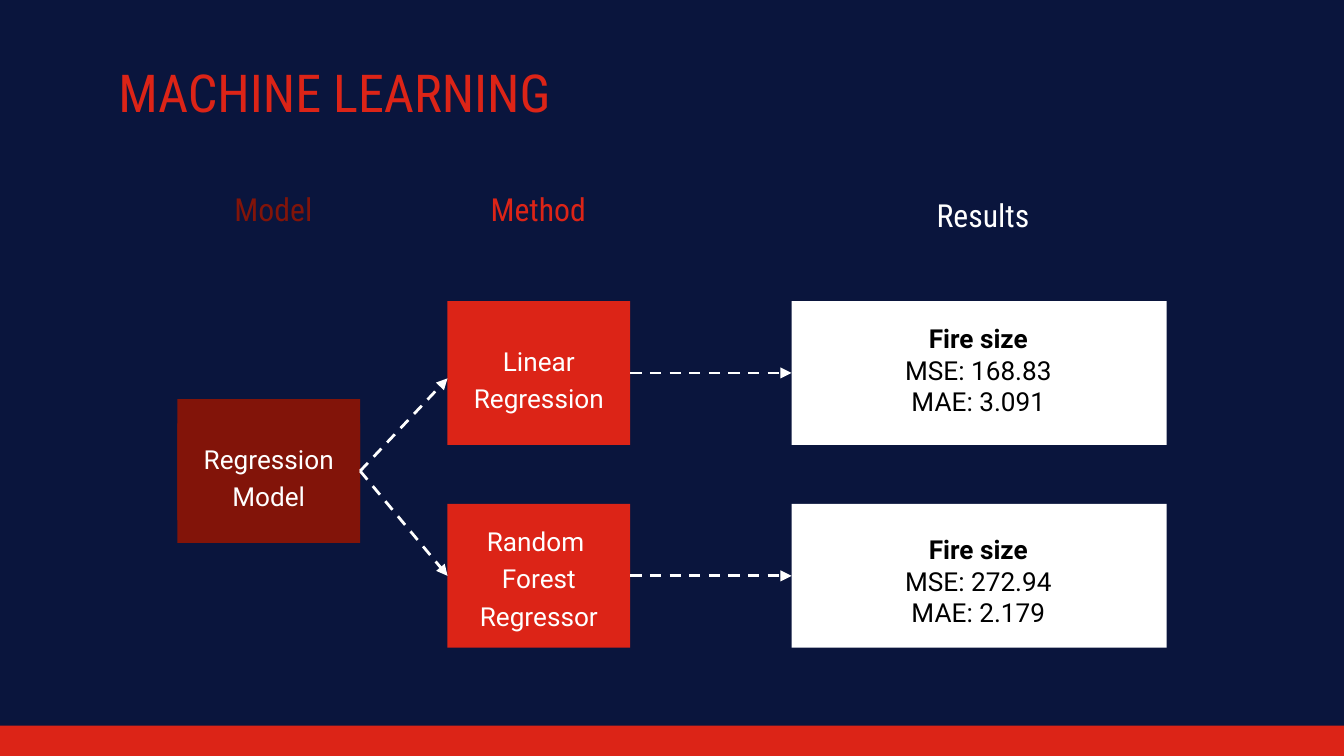
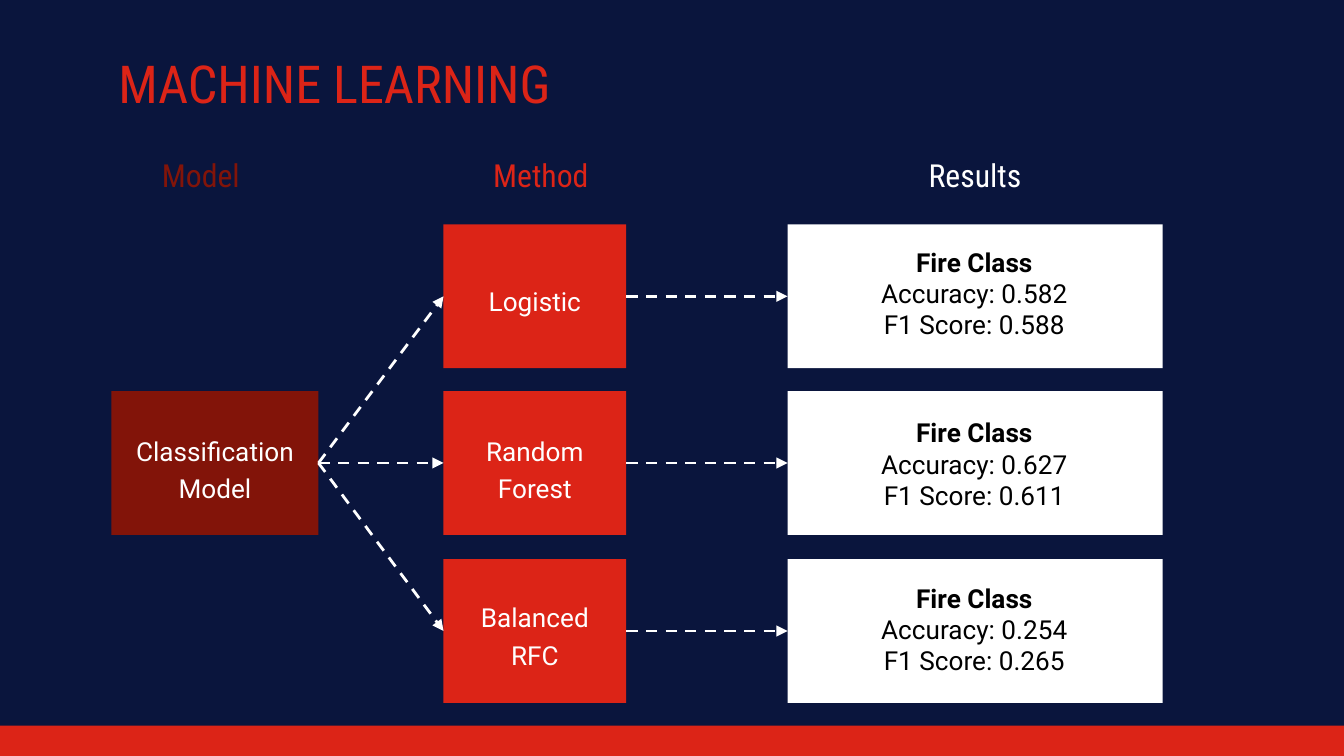
import dataclasses

import lxml.etree
import pptx
import pptx.dml.color
import pptx.enum.dml
import pptx.enum.shapes
import pptx.enum.text
import pptx.oxml.ns
import pptx.util

NAVY = pptx.dml.color.RGBColor(0x0A, 0x15, 0x3D)
RED = pptx.dml.color.RGBColor(0xDC, 0x24, 0x17)
MAROON = pptx.dml.color.RGBColor(0x82, 0x14, 0x09)
WHITE = pptx.dml.color.RGBColor(0xFF, 0xFF, 0xFF)
BLACK = pptx.dml.color.RGBColor(0, 0, 0)
BODY_FONT = "Roboto"
HEADING_FONT = "Roboto Condensed"

SLIDE_WIDTH = 10
SLIDE_HEIGHT = SLIDE_WIDTH * 9 / 16
BAND_TOP = 5.4
BOX_HEIGHT = 1.07
METHOD_WIDTH = 1.36
METHOD_INSET = 0.05
RESULT_OFFSET = 2.56
RESULT_WIDTH = 2.79
RESULT_INSET = 0.24
HEADING_COLORS = {"Model": MAROON, "Method": RED, "Results": WHITE}


@dataclasses.dataclass
class Branch:
    """One method with its results; text tops are measured from the box top."""
    top: float
    method: str
    method_text_top: float
    method_text_height: float
    results: str
    result_text_top: float
    arrow_shift: float = 0


def inches(*values):
    """Convert numbers to lengths."""
    return [pptx.util.Inches(value) for value in values]


def format_text(shape, text, size, color, font=BODY_FONT, spacing=1.0,
                align=pptx.enum.text.PP_ALIGN.CENTER):
    """Fill a shape with top-anchored text in one style."""
    frame = shape.text_frame
    frame.text = text
    frame.word_wrap = True
    frame.vertical_anchor = pptx.enum.text.MSO_ANCHOR.TOP
    frame.margin_left = frame.margin_right = pptx.util.Inches(0.1)
    frame.margin_top = frame.margin_bottom = pptx.util.Inches(0.1)
    for paragraph in frame.paragraphs:
        paragraph.alignment = align
        paragraph.line_spacing = spacing
        for run in paragraph.runs:
            run.font.size = pptx.util.Pt(size)
            run.font.name = font
            run.font.color.rgb = color
            run.font.bold = False


def add_box(slide, left, top, width, height, color):
    """Add a plain filled rectangle."""
    shape = slide.shapes.add_shape(
        pptx.enum.shapes.MSO_SHAPE.RECTANGLE, *inches(left, top, width, height))
    shape.shadow.inherit = False
    shape.fill.solid()
    shape.fill.fore_color.rgb = color
    shape.line.fill.background()
    return shape


def add_label(slide, left, top, width, height, text, size, color, **style):
    """Add a text box that grows with its text."""
    label = slide.shapes.add_textbox(*inches(left, top, width, height))
    format_text(label, text, size, color, **style)
    label.text_frame.auto_size = pptx.enum.text.MSO_AUTO_SIZE.SHAPE_TO_FIT_TEXT
    return label


def add_arrow(slide, start, end):
    """Add a dashed white arrow between two points."""
    arrow = slide.shapes.add_connector(
        pptx.enum.shapes.MSO_CONNECTOR.STRAIGHT, *inches(*start, *end))
    arrow.line.color.rgb = WHITE
    arrow.line.width = pptx.util.Pt(1.5)
    arrow.line.dash_style = pptx.enum.dml.MSO_LINE.DASH
    qualified = pptx.oxml.ns.qn
    properties = arrow.element.spPr
    lxml.etree.SubElement(properties.find(qualified("a:ln")),
                          qualified("a:tailEnd"), type="triangle")
    lxml.etree.SubElement(properties, qualified("a:effectLst"))


def add_model(slide, left, top, width, text, text_width):
    """Add the model box and return the point where its arrows start."""
    add_box(slide, left, top, width, BOX_HEIGHT, MAROON)
    text_box = add_box(slide, left + (width - text_width) / 2, top + 0.18,
                       text_width, 0.72, MAROON)
    format_text(text_box, text, 14, WHITE, spacing=1.2)
    return left + width, top + BOX_HEIGHT / 2


def add_branch(slide, left, start, branch):
    """Add a method box, its results box and the arrows leading to them."""
    top = branch.top
    middle = top + BOX_HEIGHT / 2
    result_left = left + RESULT_OFFSET
    add_box(slide, left, top, METHOD_WIDTH, BOX_HEIGHT, RED)
    add_label(slide, left + METHOD_INSET, top + branch.method_text_top,
              METHOD_WIDTH - 2 * METHOD_INSET, branch.method_text_height,
              branch.method, 14, WHITE, spacing=1.2)
    add_box(slide, result_left, top, RESULT_WIDTH, BOX_HEIGHT, WHITE)
    results = add_label(slide, result_left + RESULT_INSET,
                        top + branch.result_text_top, 2.3, 1.62,
                        branch.results, 14, BLACK)
    results.text_frame.paragraphs[0].runs[0].font.bold = True
    add_arrow(slide, start, (left, middle + branch.arrow_shift))
    add_arrow(slide, (left + METHOD_WIDTH, middle), (result_left, middle))


def add_headings(slide, positions):
    """Add the column headings at their left and top positions."""
    for (text, color), (left, top) in zip(HEADING_COLORS.items(), positions):
        add_label(slide, left, top, 1.93, 0.49, text, 17, color,
                  font=HEADING_FONT)


def add_flow_slide(presentation, title_top, headings, model, method_left, branches):
    """Add a slide that leads from a model through methods to results."""
    slide = presentation.slides.add_slide(presentation.slide_layouts[5])
    add_box(slide, 0, BAND_TOP, SLIDE_WIDTH, SLIDE_HEIGHT - BAND_TOP, RED)
    title = slide.shapes.title
    title.left, title.top, title.width, title.height = inches(
        0.78, title_top, 8.44, 0.51)
    format_text(title, "MACHINE LEARNING", 28, RED, font=HEADING_FONT,
                align=pptx.enum.text.PP_ALIGN.LEFT)
    title.text_frame.auto_size = pptx.enum.text.MSO_AUTO_SIZE.NONE
    start = add_model(slide, *model)
    for branch in branches:
        add_branch(slide, method_left, start, branch)
    add_headings(slide, headings)


def main():
    """Build the regression and classification slides."""
    presentation = pptx.Presentation()
    presentation.slide_width, presentation.slide_height = inches(
        SLIDE_WIDTH, SLIDE_HEIGHT)
    background = presentation.slide_master.background.fill
    background.solid()
    background.fore_color.rgb = NAVY

    add_flow_slide(
        presentation, 0.35, [(1.07, 1.31), (3.04, 1.31), (6.35, 1.36)],
        (1.32, 2.97, 1.36, "Regression Model", 1.36), 3.33,
        [Branch(2.24, "Linear Regression", 0.18, 0.72,
                "Fire size\nMSE: 168.83\nMAE: 3.091", 0.06, 0.04),
         Branch(3.75, "Random \nForest\nRegressor", 0.01, 1,
                "Fire size\nMSE: 272.94\nMAE: 2.179", 0.12)])
    add_flow_slide(
        presentation, 0.28, [(0.53, 1.06), (3.06, 1.06), (6.29, 1.06)],
        (0.83, 2.91, 1.54, "Classification Model", 1.44), 3.3,
        [Branch(1.67, "Logistic", 0.31, 0.44,
                "Fire Class\nAccuracy: 0.582\nF1 Score: 0.588", 0.06),
         Branch(2.91, "Random Forest", 0.18, 0.72,
                "Fire Class\nAccuracy: 0.627\nF1 Score: 0.611", 0.09),
         Branch(4.16, "Balanced RFC", 0.17, 0.72,
                "Fire Class\nAccuracy: 0.254\nF1 Score: 0.265", 0.07)])
    presentation.save("out.pptx")


if __name__ == "__main__":
    main()
